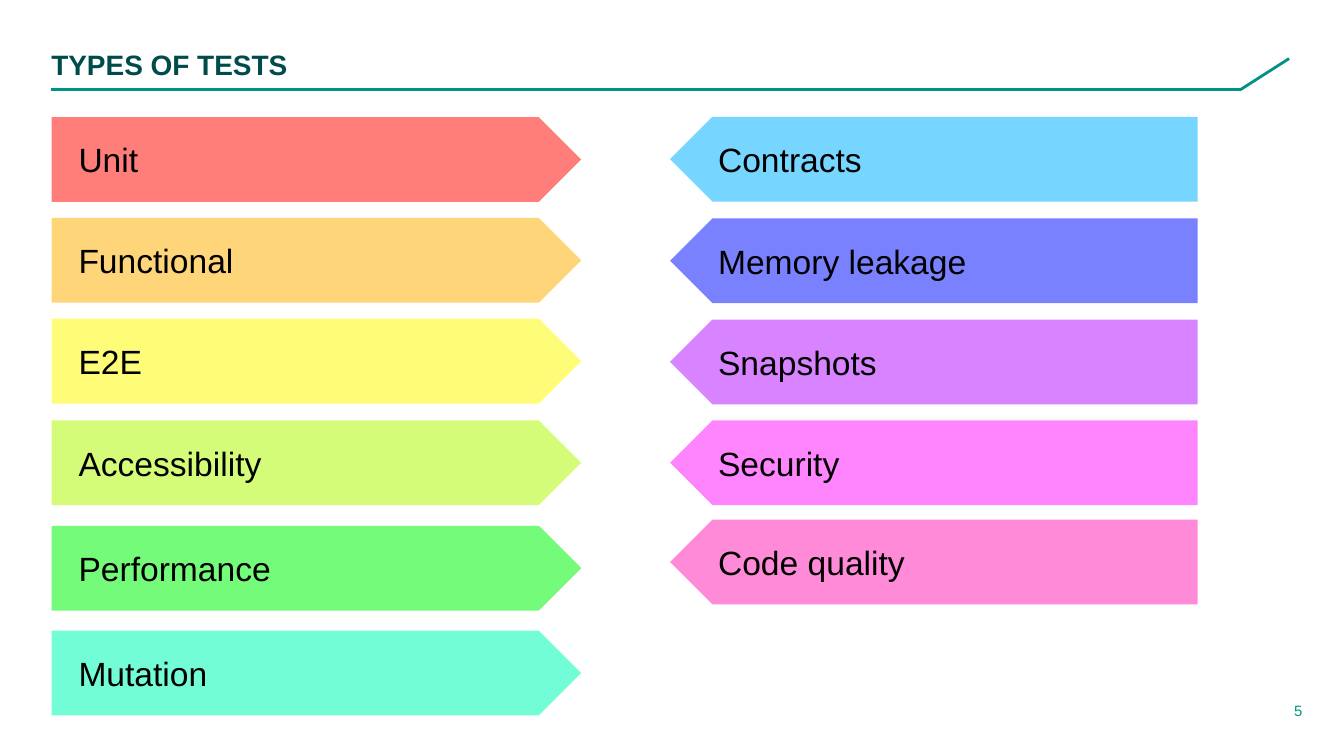
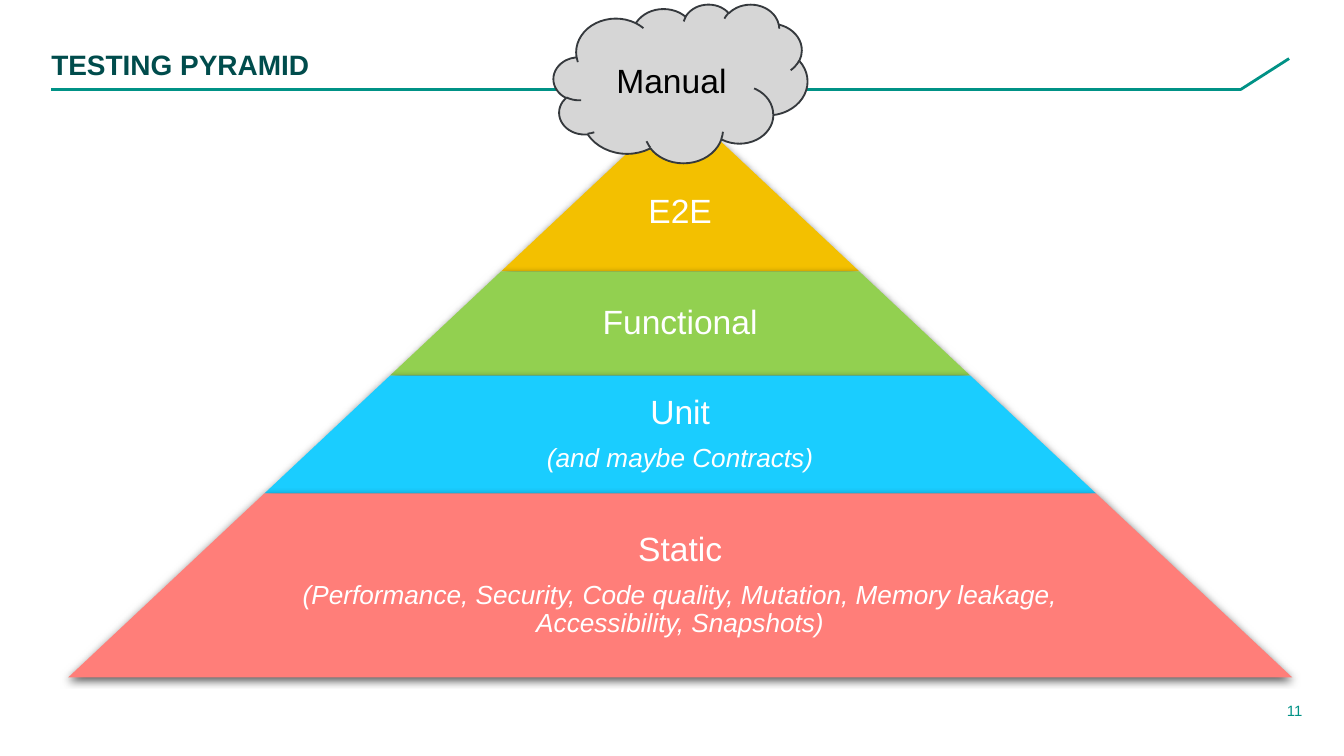
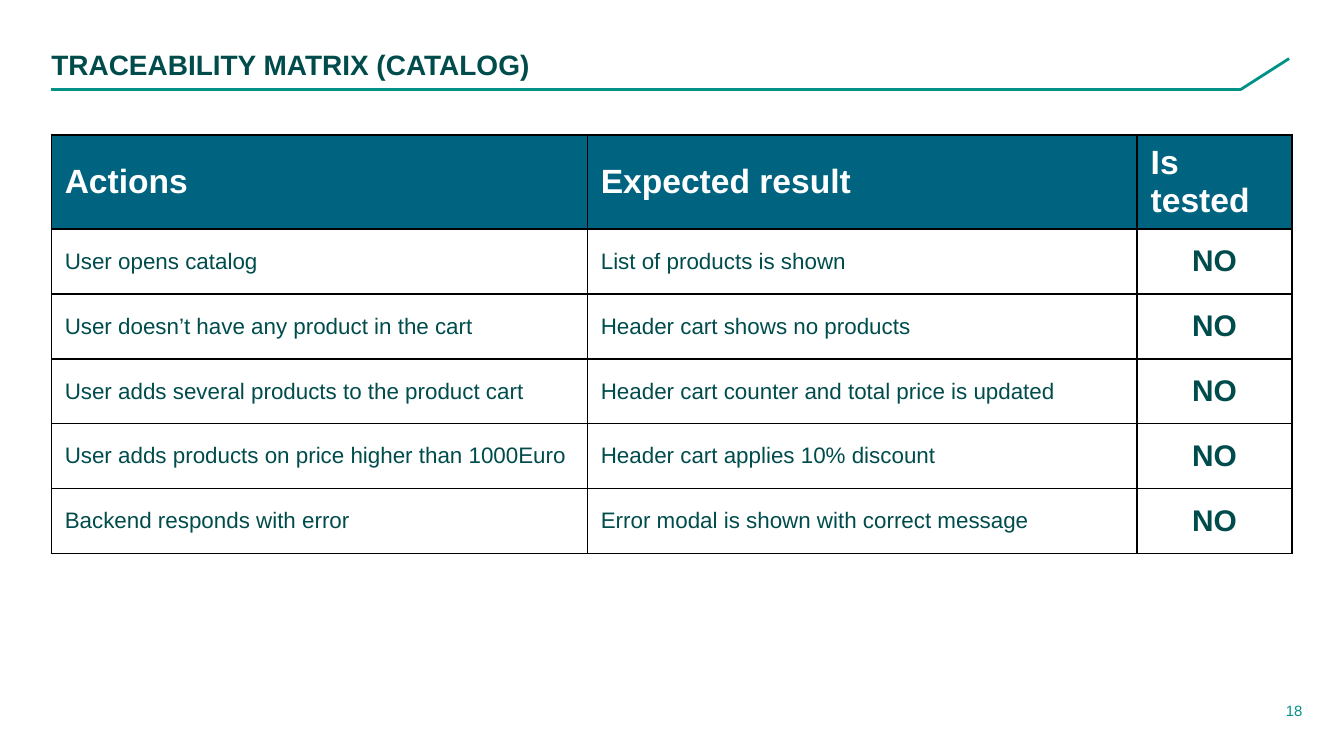
from lxml import etree
from pptx import Presentation
from pptx.dml.color import RGBColor
from pptx.enum.shapes import MSO_CONNECTOR, MSO_SHAPE
from pptx.enum.text import MSO_ANCHOR, PP_ALIGN
from pptx.oxml import parse_xml
from pptx.oxml.ns import nsdecls, qn
from pptx.util import Pt

STRAIGHT = MSO_CONNECTOR.STRAIGHT
PENTAGON, TRAPEZOID, CLOUD = MSO_SHAPE.PENTAGON, MSO_SHAPE.TRAPEZOID, MSO_SHAPE.CLOUD
MIDDLE = MSO_ANCHOR.MIDDLE
LEFT, CENTER, RIGHT = PP_ALIGN.LEFT, PP_ALIGN.CENTER, PP_ALIGN.RIGHT

BLACK = RGBColor(0x00, 0x00, 0x00)
WHITE = RGBColor(0xFF, 0xFF, 0xFF)
TEAL = RGBColor(0x00, 0x92, 0x86)
DARK_TEAL = RGBColor(0x00, 0x4C, 0x4C)
HEADER_BLUE = RGBColor(0x00, 0x64, 0x80)
CORAL = RGBColor(0xFF, 0x7E, 0x79)
APRICOT = RGBColor(0xFF, 0xD5, 0x79)
LEMON = RGBColor(0xFF, 0xFD, 0x78)
LIME = RGBColor(0xD5, 0xFC, 0x79)
GREEN = RGBColor(0x73, 0xFB, 0x79)
MINT = RGBColor(0x73, 0xFD, 0xD6)
SKY = RGBColor(0x76, 0xD6, 0xFF)
INDIGO = RGBColor(0x7A, 0x81, 0xFF)
VIOLET = RGBColor(0xD8, 0x83, 0xFF)
MAGENTA = RGBColor(0xFF, 0x85, 0xFF)
PINK = RGBColor(0xFF, 0x8A, 0xD8)
GOLD = RGBColor(0xF3, 0xC0, 0x00)
GRASS = RGBColor(0x92, 0xD0, 0x50)
CYAN = RGBColor(0x1A, 0xCD, 0xFF)
CLOUD_GREY = RGBColor(0xD6, 0xD6, 0xD6)
CLOUD_EDGE = RGBColor(0x35, 0x39, 0x3D)


def write(frame, lines, color, align=LEFT, margins=None, **layout):
    """Fill a text frame with (text, font formats) lines."""
    frame.word_wrap = True
    if margins:
        (frame.margin_left, frame.margin_top,
         frame.margin_right, frame.margin_bottom) = [Pt(margin) for margin in margins]
    for index, (text, formats) in enumerate(lines):
        para = frame.add_paragraph() if index else frame.paragraphs[0]
        para.alignment = align
        if index:
            para.space_before = Pt(7)
        for name, value in layout.items():
            setattr(para, name, value)
        span = para.add_run()
        span.text = text
        span.font.name = "Arial"
        span.font.color.rgb = color
        for name, value in formats.items():
            setattr(span.font, name, value)


def start_page(title, number):
    """Add a page with its title, bent rule and page number."""
    page = deck.slides.add_slide(deck.slide_layouts[6])
    number_box = page.shapes.add_textbox(Pt(646.6), Pt(375.8), Pt(51.1), Pt(14.4))
    write(number_box.text_frame, [(str(number), {"size": Pt(8)})], TEAL, RIGHT, (0, 0, 0, 0))
    for start_x, start_y, end_x, end_y in ((27.6, 48, 664.6, 48), (664.6, 48, 690.6, 31.4)):
        rule = page.shapes.add_connector(STRAIGHT, Pt(start_x), Pt(start_y), Pt(end_x), Pt(end_y))
        rule.line.color.rgb = TEAL
        rule.line.width = Pt(1.5)
        etree.SubElement(rule._element.spPr, qn("a:effectLst"))
    title_box = page.shapes.add_textbox(Pt(27.5), Pt(27.4), Pt(664.6), Pt(17.3))
    write(title_box.text_frame, [(title, {"size": Pt(15), "bold": True})], DARK_TEAL,
          margins=(0, 0, 0, 0), line_spacing=0.9)
    return page


deck = Presentation()
deck.slide_width, deck.slide_height = Pt(720), Pt(405)

# Types of tests: two columns of facing tags
page = start_page("TYPES OF TESTS", 5)
columns = [
    (27.7, 283.7, False, [
        ("Unit", CORAL, 62.8), ("Functional", APRICOT, 116.8), ("E2E", LEMON, 170.8),
        ("Accessibility", LIME, 225.2), ("Performance", GREEN, 281.7), ("Mutation", MINT, 337.9)]),
    (359, 282.6, True, [
        ("Contracts", SKY, 62.6), ("Memory leakage", INDIGO, 117), ("Snapshots", VIOLET, 171.2),
        ("Security", MAGENTA, 225.2), ("Code quality", PINK, 278.4)]),
]
for left, width, flipped, tags in columns:
    for label, color, top in tags:
        tag = page.shapes.add_shape(PENTAGON, Pt(left), Pt(top), Pt(width), Pt(45.4))
        tag.shadow.inherit = False
        tag.fill.solid()
        tag.fill.fore_color.rgb = color
        tag.line.fill.background()
        if flipped:
            tag._element.spPr.xfrm.set("flipH", "1")
        tag.text_frame.vertical_anchor = MIDDLE
        write(tag.text_frame, [(label, {"size": Pt(18)})], BLACK, margins=(14.4, 3.6, 7.2, 3.6))

# Testing pyramid: stacked bands that widen at a constant slope
page = start_page("TESTING PYRAMID", 11)
SLOPE, CENTER_X, PEAK_Y = 1.066, 364.4, 55.4
bands = [
    (90, GOLD, "E2E", None),
    (55.8, GRASS, "Functional", None),
    (63.2, CYAN, "Unit", "(and maybe Contracts)"),
    (98.6, CORAL, "Static",
     "(Performance, Security, Code quality, Mutation, Memory leakage, Accessibility, Snapshots)"),
]
top = PEAK_Y
for height, color, label, detail in bands:
    width = 2 * SLOPE * (top + height - PEAK_Y)
    band = page.shapes.add_shape(TRAPEZOID, Pt(CENTER_X - width / 2), Pt(top), Pt(width), Pt(height))
    band.adjustments[0] = SLOPE
    band.fill.solid()
    band.fill.fore_color.rgb = color
    band.line.fill.background()
    band.shadow.inherit = False
    band._element.spPr.find(qn("a:effectLst")).append(parse_xml(
        f'<a:outerShdw {nsdecls("a")} blurRad="{Pt(4.5)}" dist="{Pt(1.5)}" dir="5400000" '
        'rotWithShape="0"><a:srgbClr val="000000"><a:alpha val="63000"/></a:srgbClr></a:outerShdw>'))
    # The peak label sits low, where the triangle is wide enough
    drop = 27.2 if top == PEAK_Y else 0
    text_width = 0.65 * width
    label_box = page.shapes.add_textbox(
        Pt(CENTER_X - text_width / 2), Pt(top + drop), Pt(text_width), Pt(height - drop))
    label_box.text_frame.vertical_anchor = MIDDLE
    lines = [(label, {"size": Pt(18)})]
    if detail:
        lines.append((detail, {"size": Pt(14), "italic": True}))
    write(label_box.text_frame, lines, WHITE, CENTER, (2.2, 2.2, 2.2, 2.2), line_spacing=0.9)
    top += height

cloud = page.shapes.add_shape(CLOUD, Pt(296.6), Pt(2.2), Pt(136), Pt(85))
cloud.shadow.inherit = False
cloud.fill.solid()
cloud.fill.fore_color.rgb = CLOUD_GREY
cloud.line.color.rgb = CLOUD_EDGE
cloud.line.width = Pt(1)
cloud.text_frame.vertical_anchor = MIDDLE
write(cloud.text_frame, [("Manual", {"size": Pt(18)})], BLACK, CENTER)

# Traceability matrix
page = start_page("TRACEABILITY MATRIX (CATALOG)", 18)
rows = [
    ("Actions", "Expected result", "Is tested"),
    ("User opens catalog", "List of products is shown", "NO"),
    ("User doesn’t have any product in the cart", "Header cart shows no products", "NO"),
    ("User adds several products to the product cart",
     "Header cart counter and total price is updated", "NO"),
    ("User adds products on price higher than 1000Euro", "Header cart applies 10% discount", "NO"),
    ("Backend responds with error", "Error modal is shown with correct message", "NO"),
]
matrix = page.shapes.add_table(len(rows), 3, Pt(27.5), Pt(72.2), Pt(664.6), Pt(213.1)).table
for column, width in zip(matrix.columns, (287.2, 294.6, 82.8)):
    column.width = Pt(width)
for row_index, texts in enumerate(rows):
    is_header = row_index == 0
    matrix.rows[row_index].height = Pt(38.2 if is_header else 34.8)
    for column_index, text in enumerate(texts):
        cell = matrix.cell(row_index, column_index)
        for side in ("lnL", "lnR", "lnT", "lnB"):
            cell._tc.get_or_add_tcPr().append(parse_xml(
                f'<a:{side} {nsdecls("a")} w="{Pt(1)}"><a:solidFill>'
                f'<a:srgbClr val="{BLACK}"/></a:solidFill></a:{side}>'))
        cell.fill.solid()
        cell.fill.fore_color.rgb = HEADER_BLUE if is_header else WHITE
        cell.vertical_anchor = MIDDLE
        is_status = column_index == 2 and not is_header
        size = 18 if is_header else 16 if is_status else 12
        write(cell.text_frame, [(text, {"size": Pt(size), "bold": is_header or is_status})],
              WHITE if is_header else DARK_TEAL, CENTER if is_status else LEFT)

deck.save("out.pptx")
